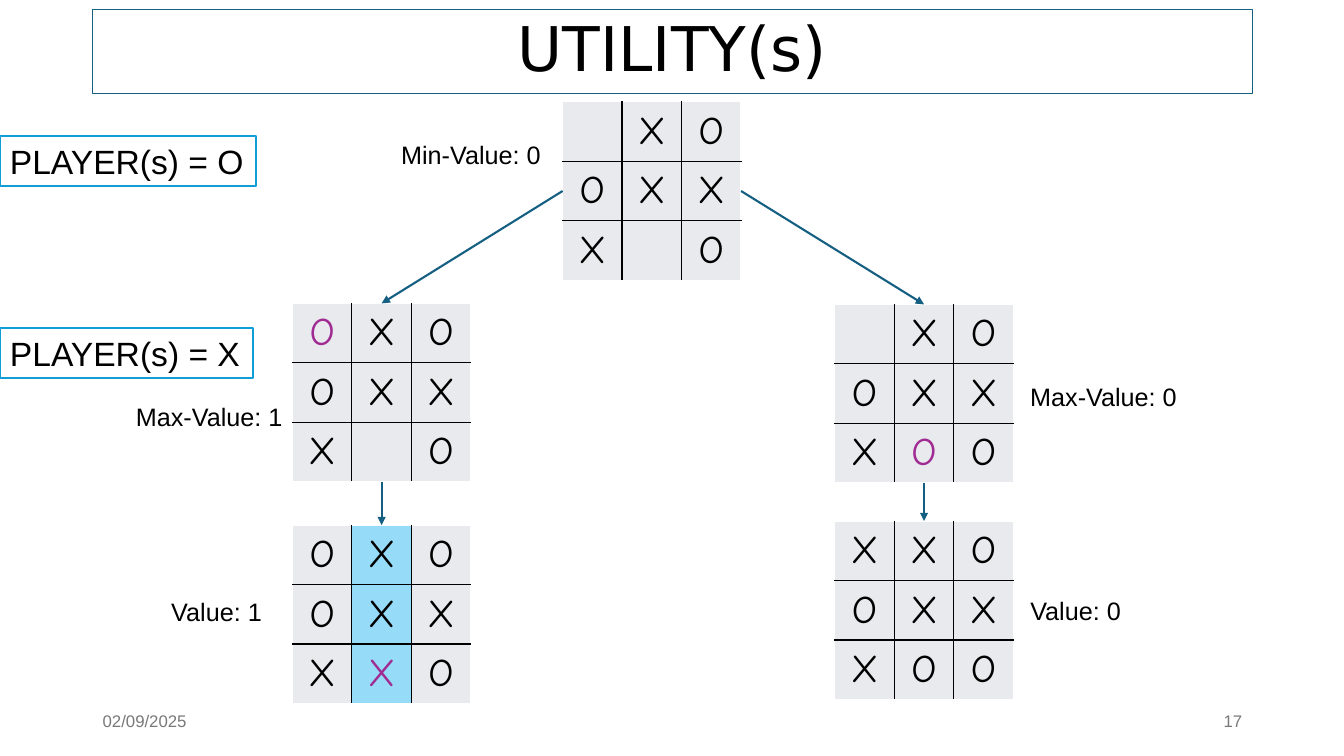
from lxml import etree
from pptx import Presentation
from pptx.dml.color import RGBColor
from pptx.enum.shapes import MSO_CONNECTOR, MSO_SHAPE
from pptx.enum.text import MSO_ANCHOR, MSO_AUTO_SIZE, PP_ALIGN
from pptx.oxml.ns import qn
from pptx.util import Pt

PX = 9144  # 100 px to the inch
LEFT, CENTER, RIGHT = PP_ALIGN.LEFT, PP_ALIGN.CENTER, PP_ALIGN.RIGHT
MIDDLE, TOP = MSO_ANCHOR.MIDDLE, MSO_ANCHOR.TOP
NO_FIT, GROW = MSO_AUTO_SIZE.NONE, MSO_AUTO_SIZE.SHAPE_TO_FIT_TEXT
RECTANGLE, STRAIGHT = MSO_SHAPE.RECTANGLE, MSO_CONNECTOR.STRAIGHT
SIDE_TOP, SIDE_LEFT, SIDE_BOTTOM, SIDE_RIGHT = range(4)

BLACK, WHITE, GREY = "000000", "FFFFFF", "797979"
CELL_FILL, WIN_FILL, NEW_MOVE = "E8EAED", "96DCF8", "A02B93"
TEAL, BRIGHT_BLUE = "156082", "0F9ED5"
BOARD_SIZE = 177


def rgb(value):
    return RGBColor.from_string(value)


def write(frame, text, size, font, color, align=LEFT):
    """Put one formatted run into the first paragraph of a text frame."""
    paragraph = frame.paragraphs[0]
    paragraph.alignment = align
    run = paragraph.add_run()
    run.text = text
    run.font.size = Pt(size)
    run.font.name = font
    run.font.color.rgb = rgb(color)


presentation = Presentation()
presentation.slide_width = 1333 * PX
presentation.slide_height = 750 * PX
slide = presentation.slides.add_slide(presentation.slide_layouts[5])
shapes = slide.shapes

# Title
title = shapes.title
title.left, title.top, title.width, title.height = 92 * PX, 9 * PX, 1150 * PX, 84 * PX
title.line.color.rgb = rgb(TEAL)
title.line.width = Pt(0.75)
title.text_frame.vertical_anchor = MIDDLE
title.text_frame.auto_size = NO_FIT
write(title.text_frame, "UTILITY(s)", 44, "DejaVu Sans", BLACK, CENTER)
title.text_frame.paragraphs[0].line_spacing = 0.9

# Footer
for text, left, align in [("02/09/2025", 92, LEFT), ("17", 942, RIGHT)]:
    footer = shapes.add_textbox(left * PX, 695 * PX, 300 * PX, 40 * PX)
    footer.text_frame.word_wrap = True
    footer.text_frame.vertical_anchor = MIDDLE
    write(footer.text_frame, text, 12, "Arial", GREY, align)

# Boards: name, left, top, rows, cell of the new move, winning column
boards = {}
for name, left, top, rows, new_move, win_column in [
    ("root", 558, 101, [" XO", "OXX", "X O"], None, None),
    ("left", 290, 301, ["OXO", "OXX", "X O"], (0, 0), None),
    ("right", 828, 302, [" XO", "OXX", "XOO"], (2, 1), None),
    ("left end", 290, 521, ["OXO", "OXX", "XXO"], (2, 1), 1),
    ("right end", 828, 517, ["XXO", "OXX", "XOO"], None, None),
]:
    board = shapes.add_table(3, 3, left * PX, top * PX, BOARD_SIZE * PX, BOARD_SIZE * PX)
    boards[name] = board
    table = board.table
    table.first_row = table.horz_banding = False
    for row, marks in enumerate(rows):
        for column, mark in enumerate(marks):
            cell = table.cell(row, column)
            cell.vertical_anchor = MIDDLE
            cell.fill.solid()
            cell.fill.fore_color.rgb = rgb(WIN_FILL if column == win_column else CELL_FILL)
            if mark != " ":
                color = NEW_MOVE if (row, column) == new_move else BLACK
                write(cell.text_frame, mark, 28, "Comic Neue", color, CENTER)
            outer_edges = [("lnL", column == 0), ("lnR", column == 2),
                           ("lnT", row == 0), ("lnB", row == 2)]
            properties = cell._tc.get_or_add_tcPr()
            for position, (tag, is_outer) in enumerate(outer_edges):
                border = etree.Element(qn(f"a:{tag}"), w=str(Pt(1)))
                fill = etree.SubElement(border, qn("a:solidFill"))
                etree.SubElement(fill, qn("a:srgbClr"), val=WHITE if is_outer else BLACK)
                properties.insert(position, border)

# Players
for text, top, width in [("PLAYER(s) = O", 135, 254), ("PLAYER(s) = X", 325, 251)]:
    player = shapes.add_shape(RECTANGLE, 0, top * PX, width * PX, 50 * PX)
    player.shadow.inherit = False
    player.fill.solid()
    player.fill.fore_color.rgb = rgb(WHITE)
    player.line.color.rgb = rgb(BRIGHT_BLUE)
    player.line.width = Pt(1.5)
    player.text_frame.word_wrap = False
    player.text_frame.auto_size = GROW
    player.text_frame.vertical_anchor = TOP
    write(player.text_frame, text, 24, "Arial", BLACK)

# Arrows between boards
for parent, parent_side, child in [
    ("root", SIDE_LEFT, "left"),
    ("root", SIDE_RIGHT, "right"),
    ("left", SIDE_BOTTOM, "left end"),
    ("right", SIDE_BOTTOM, "right end"),
]:
    arrow = shapes.add_connector(STRAIGHT, 0, 0, 0, 0)
    arrow.begin_connect(boards[parent], parent_side)
    arrow.end_connect(boards[child], SIDE_TOP)
    arrow.line.color.rgb = rgb(TEAL)
    arrow.line.width = Pt(1.5)
    etree.SubElement(arrow.line._get_or_add_ln(), qn("a:tailEnd"), type="triangle")
    etree.SubElement(arrow._element.spPr, qn("a:effectLst"))

# Values
for text, left, top, width in [
    ("Min-Value: 0", 388, 133, 160),
    ("Max-Value: 1", 125, 393, 167),
    ("Max-Value: 0", 1012, 373, 167),
    ("Value: 1", 160, 587, 111),
    ("Value: 0", 1012, 586, 111),
]:
    label = shapes.add_textbox(left * PX, top * PX, width * PX, 40 * PX)
    label.text_frame.word_wrap = False
    label.text_frame.auto_size = GROW
    write(label.text_frame, text, 18, "Arial", BLACK)

presentation.save("out.pptx")
